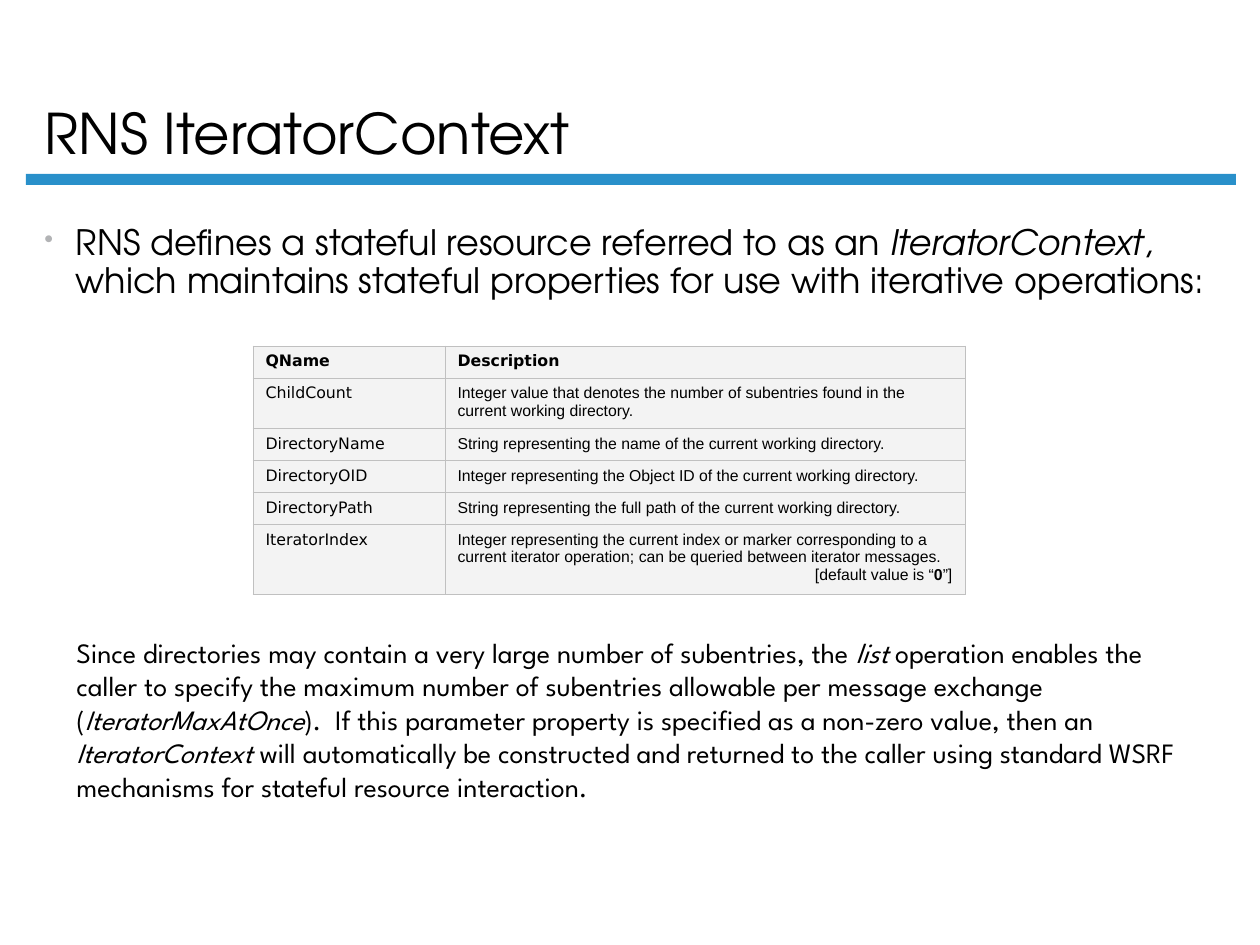
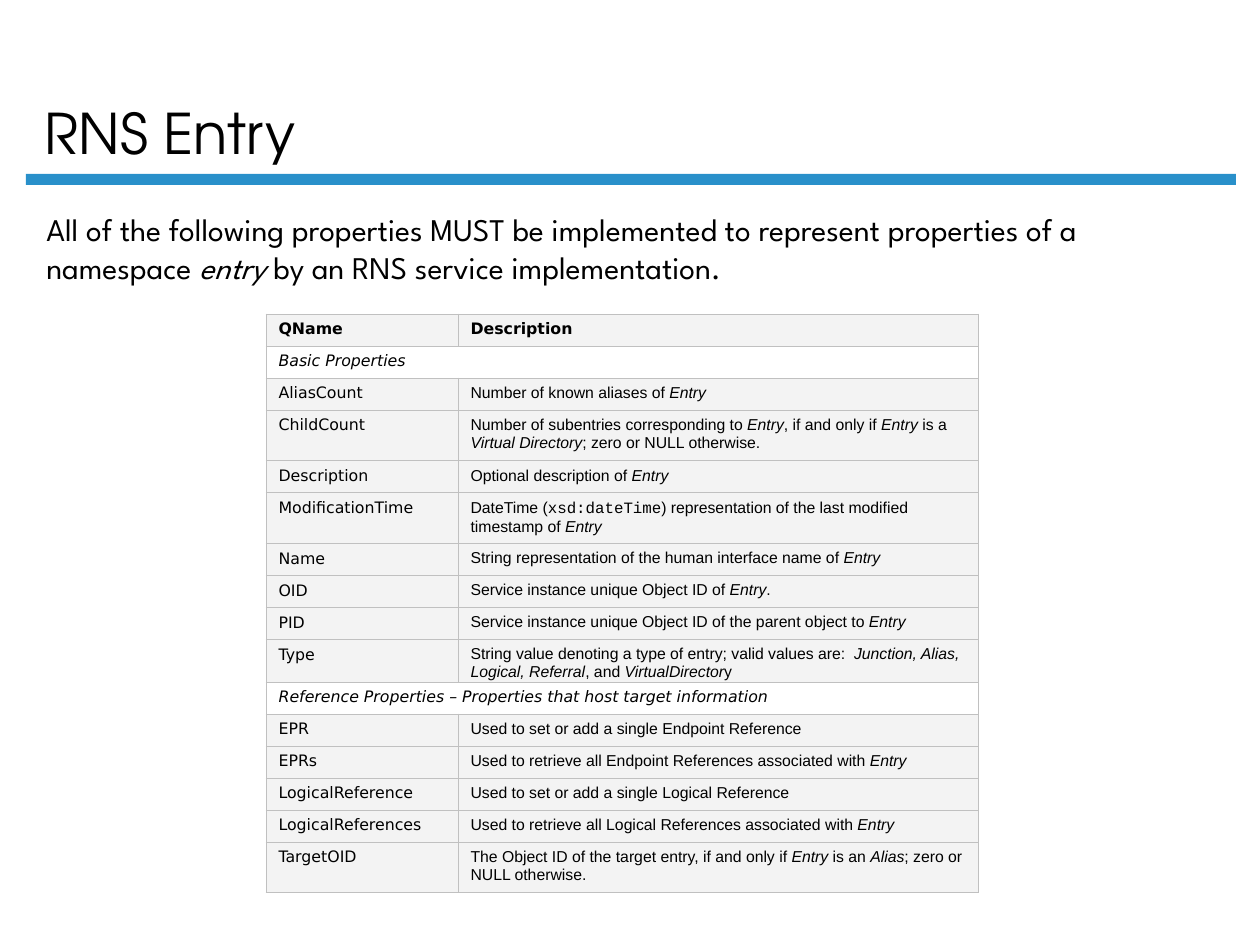
from lxml import etree
from pptx import Presentation
from pptx import util as u
from pptx.dml.color import RGBColor
from pptx.enum import shapes, text
from pptx.oxml import ns

PX = 914400 / 126
BLACK, BLUE, GREY, WHITE, BORDER, BULLET = "000000", "2990CA", "F3F3F3", "FFFFFF", "C0C0C0", "B2B3B5"
TITLE_FONT, TEXT_FONT, NAME_FONT, CELL_FONT, CODE_FONT = (
    "TeX Gyre Adventor", "League Spartan", "DejaVu Sans", "Arial", "Courier New")
COLUMNS = (192, 520)
ONE_LINE, TWO_LINES, THREE_LINES = 32, 50, 70


def color(value):
    return RGBColor.from_string(value)


def write(para, content, font, size):
    """Spans are split by |; a leading *, ^ or ` means italic, bold or code."""
    para.font.name, para.font.size = font, u.Pt(size)
    para.font.color.rgb = color(BLACK)
    for part in content.split("|"):
        mark = part[0] if part[0] in "*^`" else ""
        span = para.add_run()
        span.text = part[len(mark):]
        if mark == "*":
            span.font.italic = True
        elif mark == "^":
            span.font.bold = True
        elif mark == "`":
            span.font.name = CODE_FONT


# Content: text boxes as (left, top, width, height, font, size, bulleted, text),
# tables as (left, top, rows), each row as (height, cell texts)
header = (ONE_LINE, "^QName", "^Description")
pages = [
    ("RNS IteratorContext", [
        (32, 219, 1186, 94, TITLE_FONT, 20, True,
         "RNS defines a stateful resource referred to as an |*IteratorContext|, which maintains "
         "stateful properties for use with iterative operations:"),
        (64, 629, 1142, 214, TEXT_FONT, 16, False,
         "Since directories may contain a very large number of subentries, the |*list| operation "
         "enables the caller to specify the maximum number of subentries allowable per message "
         "exchange (|*IteratorMaxAtOnce|).  If this parameter property is specified as a non-zero "
         "value, then an |*IteratorContext |will automatically be constructed and returned to the "
         "caller using standard WSRF mechanisms for stateful resource interaction."),
    ], [
        (253, 346, [
            header,
            (TWO_LINES, "ChildCount", "Integer value that denotes the number of subentries found "
             "in the current working directory."),
            (ONE_LINE, "DirectoryName",
             "String representing the name of the current working directory."),
            (ONE_LINE, "DirectoryOID",
             "Integer representing the Object ID of the current working directory."),
            (ONE_LINE, "DirectoryPath",
             "String representing the full path of the current working directory."),
            (THREE_LINES, "IteratorIndex", "Integer representing the current index or marker "
             "corresponding to a current iterator operation; can be queried between iterator "
             "messages.\n[default value is “|^0|”]"),
        ]),
    ]),
    ("RNS Entry", [
        (34, 204, 1186, 88, TEXT_FONT, 18, False,
         "All of the following properties MUST be implemented to represent properties of a "
         "namespace |*entry| by an RNS service implementation."),
    ], [
        (266, 314, [
            header,
            (ONE_LINE, "*Basic Properties"),
            (ONE_LINE, "AliasCount", "Number of known aliases of |*Entry"),
            (TWO_LINES, "ChildCount", "Number of subentries corresponding to |*Entry|, if and only "
             "if |*Entry| is a |*Virtual Directory|; zero or NULL otherwise."),
            (ONE_LINE, "Description", "Optional description of |*Entry"),
            (TWO_LINES, "ModificationTime", "DateTime (|`xsd:dateTime|) representation of the last "
             "modified timestamp of |*Entry"),
            (ONE_LINE, "Name", "String representation of the human interface name of |*Entry"),
            (ONE_LINE, "OID", "Service instance unique Object ID of |*Entry|."),
            (ONE_LINE, "PID", "Service instance unique Object ID of the parent object to |*Entry"),
            (TWO_LINES, "Type", "String value denoting a type of entry; valid values are:  "
             "|*Junction, Alias, Logical, Referral|, and |*VirtualDirector|y"),
        ]),
        (266, 682, [
            (ONE_LINE, "*Reference Properties – Properties that host target information"),
            (ONE_LINE, "EPR", "Used to set or add a single Endpoint Reference"),
            (ONE_LINE, "EPRs", "Used to retrieve all Endpoint References associated with |*Entry"),
            (ONE_LINE, "LogicalReference", "Used to set or add a single Logical Reference"),
            (ONE_LINE, "LogicalReferences",
             "Used to retrieve all Logical References associated with |*Entry"),
            (TWO_LINES, "TargetOID", "The Object ID of the target entry, if and only if |*Entry "
             "|is an |*Alias|; zero or NULL otherwise."),
        ]),
    ]),
]

deck = Presentation()
deck.slide_width, deck.slide_height = u.Inches(10), u.Inches(7.5)

for heading, boxes, tables in pages:
    page = deck.slides.add_slide(deck.slide_layouts[5])

    # Title and the band below it
    title = page.shapes.title
    title.left, title.top, title.width, title.height = (round(n * PX) for n in (32, 15, 1079, 158))
    title.text_frame.auto_size = text.MSO_AUTO_SIZE.NONE
    title.text_frame.vertical_anchor = text.MSO_ANCHOR.BOTTOM
    para = title.text_frame.paragraphs[0]
    para.alignment, para.line_spacing = text.PP_ALIGN.LEFT, 0.9
    write(para, heading, TITLE_FONT, 32)

    band = page.shapes.add_shape(
        shapes.MSO_SHAPE.RECTANGLE, *(round(n * PX) for n in (26, 174, 1210, 11)))
    band.shadow.inherit = False
    band.fill.solid()
    band.fill.fore_color.rgb = color(BLUE)
    band.line.fill.background()

    # Running text
    for *place, font, size, bulleted, content in boxes:
        box = page.shapes.add_textbox(*(round(n * PX) for n in place))
        box.text_frame.word_wrap = True
        para = box.text_frame.paragraphs[0]
        if bulleted:
            para.line_spacing = 0.9
            properties = para._p.get_or_add_pPr()
            properties.set("marL", "228600")
            properties.set("indent", "-228600")
            bullet_color = etree.SubElement(properties, ns.qn("a:buClr"))
            etree.SubElement(bullet_color, ns.qn("a:srgbClr"), val=BULLET)
            etree.SubElement(properties, ns.qn("a:buSzPct"), val="75000")
            etree.SubElement(properties, ns.qn("a:buChar"), char="•")
        write(para, content, font, size)

    # Property tables
    for left, top, rows in tables:
        place = (left, top, sum(COLUMNS), sum(row[0] for row in rows))
        table = page.shapes.add_table(
            len(rows), len(COLUMNS), *(round(n * PX) for n in place)).table
        table.first_row = table.horz_banding = False
        for column, width in zip(table.columns, COLUMNS):
            column.width = round(width * PX)
        for index, (height, *contents) in enumerate(rows):
            table.rows[index].height = round(height * PX)
            section = len(contents) == 1
            for cell in table.rows[index].cells:
                properties = cell._tc.get_or_add_tcPr()
                for side in ("lnL", "lnR", "lnT", "lnB"):
                    line = etree.SubElement(properties, ns.qn("a:" + side), w="5715")
                    fill = etree.SubElement(line, ns.qn("a:solidFill"))
                    etree.SubElement(fill, ns.qn("a:srgbClr"), val=BORDER)
                cell.fill.solid()
                cell.fill.fore_color.rgb = color(WHITE if section else GREY)
            if section:
                table.cell(index, 0).merge(table.cell(index, 1))
            for number, content in enumerate(contents):
                frame = table.cell(index, number).text_frame
                font = CELL_FONT if number == 1 and contents[0] != "^QName" else NAME_FONT
                first, *notes = content.split("\n")
                write(frame.paragraphs[0], first, font, 9)
                for note in notes:
                    para = frame.add_paragraph()
                    para.alignment = text.PP_ALIGN.RIGHT
                    write(para, note, font, 9)

deck.save("out.pptx")
